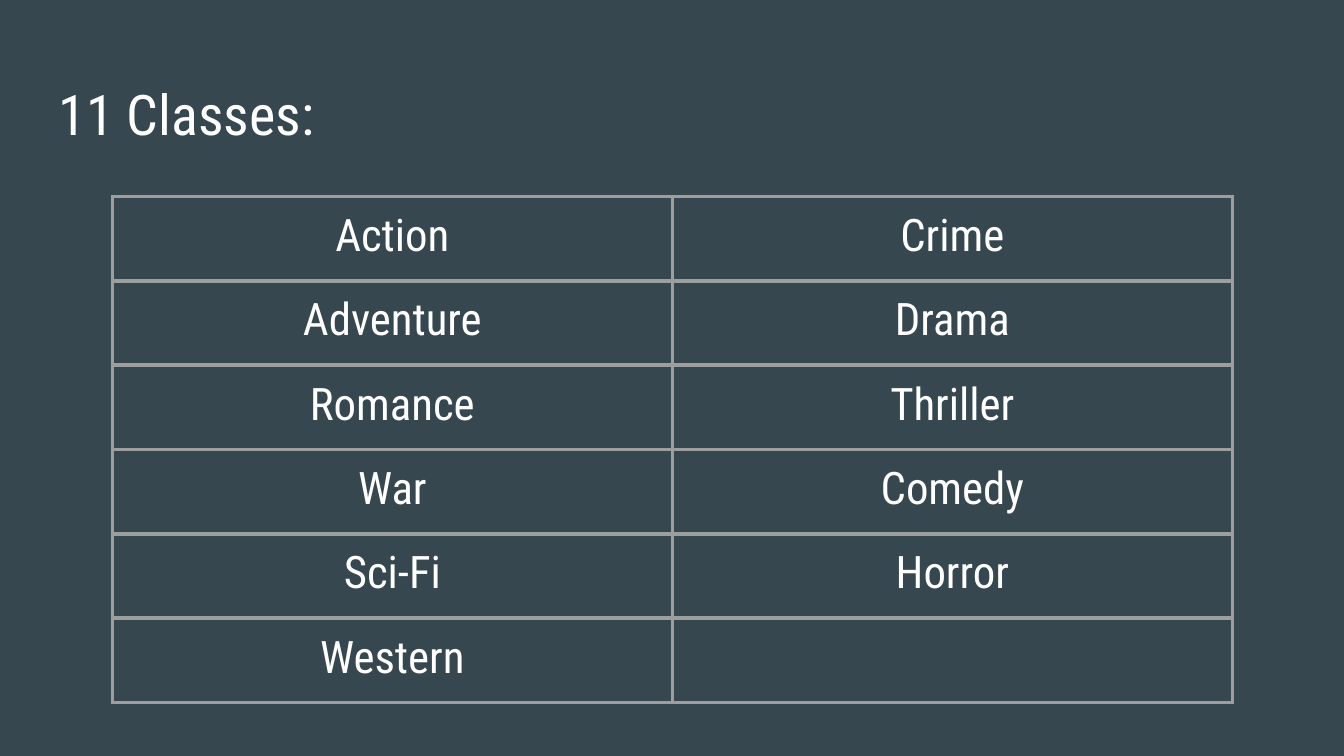
from lxml import etree
from pptx import Presentation
from pptx.dml.color import RGBColor
from pptx.enum.text import MSO_ANCHOR, PP_ALIGN
from pptx.oxml.ns import qn
from pptx.util import Pt

LEFT, CENTER = PP_ALIGN.LEFT, PP_ALIGN.CENTER
TOP = MSO_ANCHOR.TOP

SLATE = RGBColor(0x37, 0x47, 0x4F)
WHITE = RGBColor(0xFF, 0xFF, 0xFF)
GREY = RGBColor(0x9E, 0x9E, 0x9E)

FONT = "Roboto Condensed"
INSET = Pt(7.2)
BORDER_WIDTH = Pt(2.25)

GENRES = [
    ("Action", "Crime"),
    ("Adventure", "Drama"),
    ("Romance", "Thriller"),
    ("War", "Comedy"),
    ("Sci-Fi", "Horror"),
    ("Western", ""),
]


def write_text(frame, text, *, size, color=WHITE, align=LEFT):
    """Fill the first paragraph of a text frame."""
    para = frame.paragraphs[0]
    para.alignment = align
    para.font.size = size
    if text:
        span = para.add_run()
        span.text = text
        span.font.name = FONT
        span.font.size = size
        span.font.color.rgb = color


def set_insets(target):
    """Give a text frame or table cell equal margins, with its text at the top."""
    target.margin_left = target.margin_right = INSET
    target.margin_top = target.margin_bottom = INSET
    target.vertical_anchor = TOP


def add_borders(cell):
    """Draw a grey line on all four sides of a cell."""
    properties = cell._tc.get_or_add_tcPr()
    for side in ("lnL", "lnR", "lnT", "lnB"):
        line = etree.SubElement(properties, qn(f"a:{side}"), w=str(BORDER_WIDTH))
        fill = etree.SubElement(line, qn("a:solidFill"))
        etree.SubElement(fill, qn("a:srgbClr"), val=str(GREY))


def add_title(page, text, left, top, width, height):
    box = page.shapes.add_textbox(left, top, width, height)
    frame = box.text_frame
    frame.word_wrap = True
    set_insets(frame)
    write_text(frame, text, size=Pt(30))


def add_genre_table(page, rows, left, top, width, height):
    table = page.shapes.add_table(
        len(rows), len(rows[0]), left, top, width, height
    ).table
    table.first_row = False
    table.horz_banding = False
    for row_index, row in enumerate(rows):
        for column_index, genre in enumerate(row):
            cell = table.cell(row_index, column_index)
            set_insets(cell)
            add_borders(cell)
            cell.fill.background()
            write_text(cell.text_frame, genre, size=Pt(24), align=CENTER)


def main():
    deck = Presentation()
    deck.slide_width, deck.slide_height = Pt(720), Pt(405)
    page = deck.slides.add_slide(deck.slide_layouts[6])
    page.background.fill.solid()
    page.background.fill.fore_color.rgb = SLATE

    # Heading
    add_title(page, "11 Classes:", Pt(24.5), Pt(35.3), Pt(671), Pt(45.4))
    # Two-column list of genres
    add_genre_table(page, GENRES, Pt(60.2), Pt(105.2), Pt(600), Pt(271.2))

    deck.save("out.pptx")


if __name__ == "__main__":
    main()
